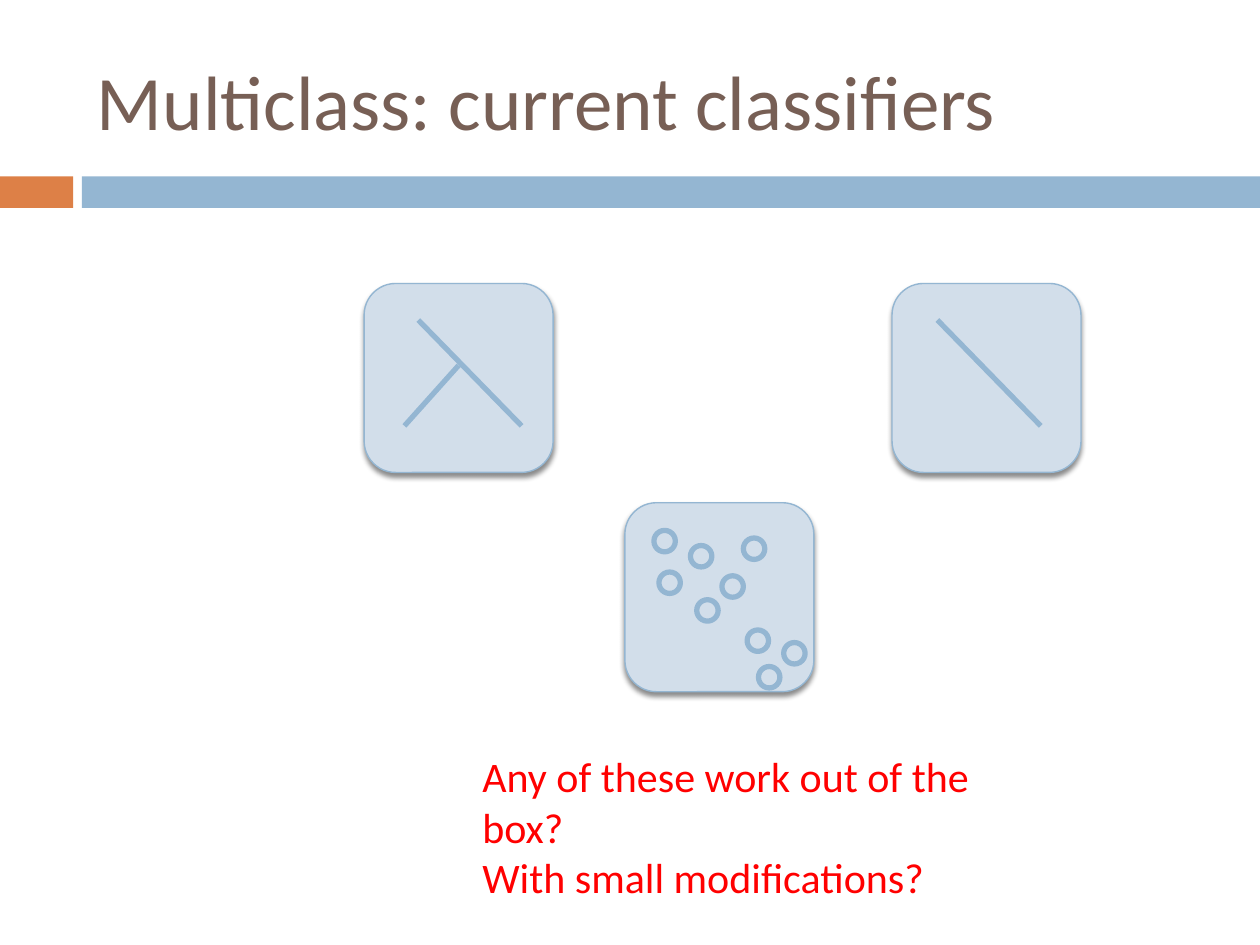
from lxml.etree import SubElement
from pptx import Presentation
from pptx.dml.color import RGBColor
from pptx.enum.shapes import MSO_CONNECTOR, MSO_SHAPE
from pptx.enum.text import MSO_ANCHOR
from pptx.oxml.ns import qn
from pptx.util import Inches, Pt

COLORS = {
    "orange": "DD8047",
    "blue": "94B6D2",
    "pale": "D2DEEA",
    "brown": "775F55",
    "red": "FF0000",
    "shadow": "000000",
}

deck = Presentation()
deck.slide_width, deck.slide_height = Inches(10), Inches(7.5)
page = deck.slides.add_slide(deck.slide_layouts[6])


def add_figure(kind, place, fill=None, line_width=None):
    """Add a preset shape without shadow; no fill or line unless given."""
    shape = page.shapes.add_shape(kind, *map(Inches, place))
    shape.shadow.inherit = False
    if fill:
        shape.fill.solid()
        shape.fill.fore_color.rgb = RGBColor.from_string(COLORS[fill])
    else:
        shape.fill.background()
    if line_width:
        shape.line.color.rgb = RGBColor.from_string(COLORS["blue"])
        shape.line.width = Pt(line_width)
    else:
        shape.line.fill.background()
    return shape


def add_text(place, lines, size, color, anchor):
    box = page.shapes.add_textbox(*map(Inches, place))
    frame = box.text_frame
    frame.word_wrap = True
    frame.vertical_anchor = anchor
    frame.text = "\n".join(lines)
    for para in frame.paragraphs:
        para.font.name = "Calibri"
        para.font.size = Pt(size)
        para.font.color.rgb = RGBColor.from_string(COLORS[color])


# Header
add_figure(MSO_SHAPE.RECTANGLE, (0, 1.4, 0.58, 0.25), "orange")
add_figure(MSO_SHAPE.RECTANGLE, (0.65, 1.4, 9.35, 0.25), "blue")
add_text((0.67, 0.25, 8.92, 1.08), ["Multiclass: current classifiers"],
         44, "brown", MSO_ANCHOR.MIDDLE)

# Question
add_text((3.73, 5.91, 4.74, 0.91),
         ["Any of these work out of the box?", "With small modifications?"],
         24, "red", MSO_ANCHOR.TOP)

# Classifier tiles with a soft shadow below
for left, top in [(2.89, 2.25), (4.96, 3.99), (7.08, 2.25)]:
    tile = add_figure(MSO_SHAPE.ROUNDED_RECTANGLE, (left, top, 1.5, 1.5), "pale", 0.79)
    effects = tile.element.spPr.find(qn("a:effectLst"))
    shadow = SubElement(effects, qn("a:outerShdw"), blurRad=str(Pt(3)),
                        dist=str(Pt(2.4)), dir="5400000", rotWithShape="0")
    shade = SubElement(shadow, qn("a:srgbClr"), val=COLORS["shadow"])
    SubElement(shade, qn("a:alpha"), val="45000")

# Decision tree branches and linear boundary
for ends in [(3.32, 2.54, 4.14, 3.38), (3.64, 2.9, 3.21, 3.38), (7.44, 2.54, 8.26, 3.38)]:
    stroke = page.shapes.add_connector(MSO_CONNECTOR.STRAIGHT, *map(Inches, ends))
    stroke.line.color.rgb = RGBColor.from_string(COLORS["blue"])
    stroke.line.width = Pt(3)
    SubElement(stroke.element.spPr, qn("a:effectLst"))

# Nearest-neighbour points
points = [
    (5.19, 4.21), (5.48, 4.33), (5.23, 4.54),
    (5.53, 4.76), (5.73, 4.57), (5.9, 4.27),
    (5.93, 5), (6.02, 5.29), (6.22, 5.1),
]
for left, top in points:
    add_figure(MSO_SHAPE.OVAL, (left, top, 0.17, 0.17), line_width=3)

deck.save("out.pptx")
